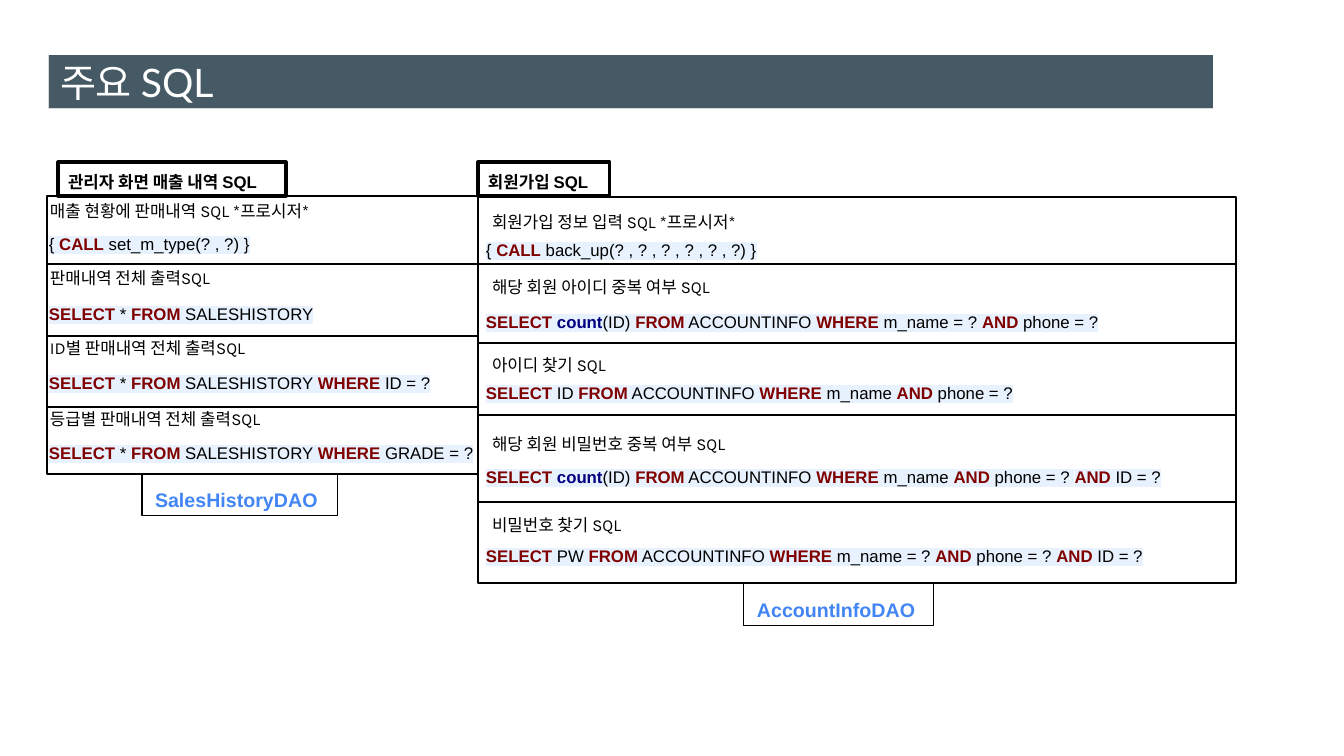
from lxml import etree
from pptx import Presentation
from pptx.dml.color import RGBColor
from pptx.enum.shapes import MSO_SHAPE
from pptx.enum.text import MSO_ANCHOR, PP_ALIGN
from pptx.oxml.ns import qn
from pptx.util import Emu, Pt

RECTANGLE = MSO_SHAPE.RECTANGLE
TOP, MIDDLE = MSO_ANCHOR.TOP, MSO_ANCHOR.MIDDLE
LEFT = PP_ALIGN.LEFT

BLACK = RGBColor(0x00, 0x00, 0x00)
WHITE = RGBColor(0xFF, 0xFF, 0xFF)
SLATE = RGBColor(0x45, 0x5A, 0x64)
GRAY = RGBColor(0xD8, 0xD8, 0xD8)
BLUE = RGBColor(0x42, 0x85, 0xF4)
MAROON = RGBColor(0x80, 0x00, 0x00)
NAVY = RGBColor(0x00, 0x00, 0x80)
PALE_BLUE = RGBColor(0xE8, 0xF2, 0xFE)

TITLE = "주요 SQL"
TITLE_BOX = (50, 48, 1259, 67)
TITLE_BAR = (48, 55, 1165, 53)

# Bars enclose SQL keywords. Each query: caption, caption top, SQL, SQL top.
PANELS = [
    {
        "heading": ("관리자 화면 매출 내역 SQL", (58, 162, 228, 34)),
        "dao": ("SalesHistoryDAO", (142, 474, 196, 42)),
        "left": 47, "width": 431,
        "edges": [196, 264, 336, 407, 474],
        "caption": (40, 284, 0),
        "sql": (36, 459),
        "queries": [
            ("매출 현황에 판매내역 SQL *프로시저*", 191,
             "{ |CALL| set_m_type(? , ?) }", 221),
            ("판매내역 전체 출력SQL", 258,
             "|SELECT| * |FROM| SALESHISTORY", 291),
            ("ID별 판매내역 전체 출력SQL", 328,
             "|SELECT| * |FROM| SALESHISTORY |WHERE| ID = ?", 360),
            ("등급별 판매내역 전체 출력SQL", 399,
             "|SELECT| * |FROM| SALESHISTORY |WHERE| GRADE = ?", 430),
        ],
    },
    {
        "heading": ("회원가입 SQL", (478, 162, 132, 34)),
        "dao": ("AccountInfoDAO", (744, 584, 190, 42)),
        "left": 478, "width": 758,
        "edges": [197, 264, 343, 415, 502, 583],
        "caption": (478, 271, 4),
        "sql": (473, 763),
        "queries": [
            ("회원가입 정보 입력 SQL *프로시저*", 202,
             "{ |CALL| back_up(? , ? , ? , ? , ? , ?) }", 227),
            ("해당 회원 아이디 중복 여부 SQL", 267,
             "|SELECT| |count|(ID) |FROM| ACCOUNTINFO |WHERE| m_name = ? "
             "|AND| phone = ?", 299),
            ("아이디 찾기 SQL", 345,
             "|SELECT| ID |FROM| ACCOUNTINFO |WHERE| m_name |AND| phone = ?", 370),
            ("해당 회원 비밀번호 중복 여부 SQL", 424,
             "|SELECT| |count|(ID) |FROM| ACCOUNTINFO |WHERE| m_name "
             "|AND| phone = ? |AND| ID = ?", 454),
            ("비밀번호 찾기 SQL", 505,
             "|SELECT| PW |FROM| ACCOUNTINFO |WHERE| m_name = ? "
             "|AND| phone = ? |AND| ID = ?", 533),
        ],
    },
]
CAPTION_HEIGHT, SQL_HEIGHT = 28, 41
INSET, SQL_MARGIN = 10, 3


def px(length):
    return Emu(round(length * 914400 / 100.8))


def add_box(slide, box, line_width):
    shape = slide.shapes.add_shape(RECTANGLE, *map(px, box))
    shape.shadow.inherit = False
    shape.fill.background()
    shape.line.color.rgb = BLACK
    shape.line.width = Pt(line_width)
    return shape


def add_title_bar(slide):
    """Draw the bar as a one-cell table edged at the left and bottom."""
    table = slide.shapes.add_table(1, 1, *map(px, TITLE_BAR)).table
    table.first_row = table.horz_banding = False
    cell = table.cell(0, 0)
    properties = cell._tc.get_or_add_tcPr()
    for side in ("L", "R", "T", "B"):
        border = etree.SubElement(properties, qn(f"a:ln{side}"), w=str(Pt(0.75)))
        if side in "LB":
            fill = etree.SubElement(border, qn("a:solidFill"))
            etree.SubElement(fill, qn("a:srgbClr"), val=str(GRAY))
        else:
            etree.SubElement(border, qn("a:noFill"))
    cell.fill.solid()
    cell.fill.fore_color.rgb = SLATE


def first_paragraph(shape, font, size, color, bold=False, anchor=TOP,
                    margin=0, indent=0, spacing=None):
    frame = shape.text_frame
    frame.word_wrap = True
    frame.vertical_anchor = anchor
    frame.margin_left = frame.margin_right = px(INSET)
    frame.margin_top = frame.margin_bottom = px(INSET)
    paragraph = frame.paragraphs[0]
    paragraph.alignment = LEFT
    properties = paragraph._p.get_or_add_pPr()
    properties.set("marL", str(px(margin)))
    properties.set("indent", str(px(indent)))
    if spacing:
        paragraph.line_spacing = spacing
    paragraph.font.name = font
    paragraph.font.size = Pt(size)
    paragraph.font.color.rgb = color
    paragraph.font.bold = bold
    return paragraph


def add_sql_runs(paragraph, sql):
    for position, part in enumerate(sql.split("|")):
        if not part:
            continue
        run = paragraph.add_run()
        run.text = part
        if position % 2:
            run.font.bold = True
            run.font.color.rgb = NAVY if part == "count" else MAROON
        highlight = etree.SubElement(run.font._element, qn("a:highlight"))
        etree.SubElement(highlight, qn("a:srgbClr"), val=str(PALE_BLUE))


def add_panel(slide, panel):
    edges = panel["edges"]
    for top, bottom in zip(edges, edges[1:]):
        add_box(slide, (panel["left"], top, panel["width"], bottom - top), 1.5)

    heading, heading_box = panel["heading"]
    shape = add_box(slide, heading_box, 2.25)
    first_paragraph(shape, "Arial", 12, BLACK, bold=True).add_run().text = heading

    dao, dao_box = panel["dao"]
    shape = add_box(slide, dao_box, 0.75)
    first_paragraph(shape, "Arial", 14, BLUE, bold=True, margin=SQL_MARGIN,
                    spacing=1.15).add_run().text = dao

    caption_left, caption_width, caption_indent = panel["caption"]
    sql_left, sql_width = panel["sql"]
    for caption, caption_top, sql, sql_top in panel["queries"]:
        caption_box = (caption_left, caption_top, caption_width, CAPTION_HEIGHT)
        shape = slide.shapes.add_textbox(*map(px, caption_box))
        first_paragraph(shape, "Karla", 12, BLACK,
                        indent=caption_indent).add_run().text = caption
        sql_box = (sql_left, sql_top, sql_width, SQL_HEIGHT)
        shape = slide.shapes.add_textbox(*map(px, sql_box))
        add_sql_runs(first_paragraph(shape, "Arial", 12, BLACK, margin=SQL_MARGIN,
                                     spacing=1.15), sql)


def main():
    presentation = Presentation()
    presentation.slide_width, presentation.slide_height = px(1344), px(756)
    slide = presentation.slides.add_slide(presentation.slide_layouts[6])
    add_title_bar(slide)
    title = slide.shapes.add_textbox(*map(px, TITLE_BOX))
    first_paragraph(title, "Lato", 28, WHITE, anchor=MIDDLE).add_run().text = TITLE
    title.text_frame.margin_top = title.text_frame.margin_bottom = px(5)
    for panel in PANELS:
        add_panel(slide, panel)
    presentation.save("out.pptx")


if __name__ == "__main__":
    main()
